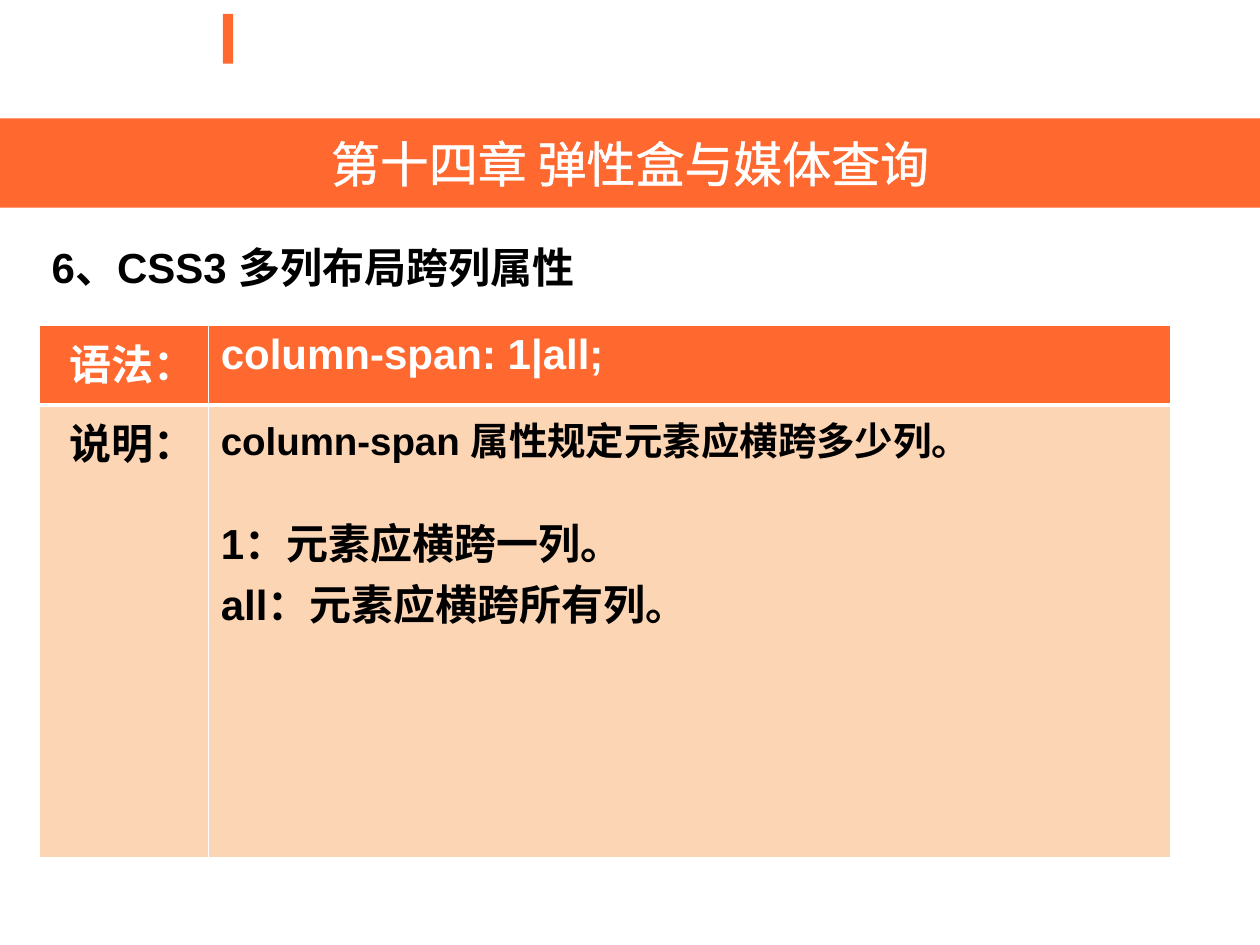
from pptx import Presentation
from pptx.util import Pt
from pptx.dml.color import RGBColor
from pptx.enum.shapes import MSO_SHAPE as Kind
from pptx.enum.text import MSO_ANCHOR as Anchor, PP_ALIGN as Align
from pptx.oxml import parse_xml

COLORS = {"accent": "FF682F", "pale": "FCD5B5", "white": "FFFFFF", "black": "000000"}
NS = 'xmlns:a="http://schemas.openxmlformats.org/drawingml/2006/main"'


def rgb(name):
    return RGBColor.from_string(COLORS[name])


def line(tag, width):
    """Make a solid white line element for text or a cell border."""
    return parse_xml(
        f'<a:{tag} {NS} w="{int(Pt(width))}"><a:solidFill>'
        f'<a:srgbClr val="{COLORS["white"]}"/></a:solidFill></a:{tag}>'
    )


def style(para, size, color, bold=True, align=Align.LEFT):
    para.alignment = align
    for run in para.runs:
        font = run.font
        font.name, font.size, font.bold = "Arial", Pt(size), bold
        font.color.rgb = rgb(color)


def add_bar(slide, x, y, w, h):
    bar = slide.shapes.add_shape(Kind.RECTANGLE, Pt(x), Pt(y), Pt(w), Pt(h))
    bar.shadow.inherit = False
    bar.fill.solid()
    bar.fill.fore_color.rgb = rgb("accent")
    bar.line.fill.background()
    return bar


def add_banner(slide, x, y, w, h, text):
    frame = add_bar(slide, x, y, w, h).text_frame
    frame.text = text
    frame.vertical_anchor = Anchor.MIDDLE
    para = frame.paragraphs[0]
    style(para, 28, "white", False, Align.CENTER)
    para.runs[0].font._element.insert(0, line("ln", 1.45))


def add_heading(slide, x, y, w, h, text):
    frame = slide.shapes.add_textbox(Pt(x), Pt(y), Pt(w), Pt(h)).text_frame
    frame.word_wrap = True
    frame.text = text
    style(frame.paragraphs[0], 24, "black")


def fill_cell(cell, text, fill, color, align, base):
    cell.text = text
    cell.fill.solid()
    cell.fill.fore_color.rgb = rgb(fill)
    for para in cell.text_frame.paragraphs:
        style(para, 24, color, align=align)
    props = cell._tc.get_or_add_tcPr()
    widths = {"lnL": 1, "lnR": 1, "lnT": 1, "lnB": base}
    for i, (tag, width) in enumerate(widths.items()):
        props.insert(i, line(tag, width))


def add_syntax(slide, x, y, w, h, rows):
    """Table with a label column and an accent first row."""
    table = slide.shapes.add_table(len(rows), 2, Pt(x), Pt(y), Pt(w), Pt(h)).table
    label, head = 96.5, 45.4
    table.columns[0].width, table.columns[1].width = Pt(label), Pt(w - label)
    table.rows[0].height, table.rows[1].height = Pt(head), Pt(h - head)
    looks = [("accent", "white", 3), ("pale", "black", 1)]
    for r, (row, (fill, color, base)) in enumerate(zip(rows, looks)):
        for c, (text, align) in enumerate(zip(row, (Align.RIGHT, Align.LEFT))):
            # The lower border of the header is also the upper one of the body
            fill_cell(table.cell(r, c), text, fill, color, align, base)
            if r:
                table.cell(r, c)._tc.tcPr[2].set("w", str(int(Pt(3))))
    lead, first = table.cell(1, 1).text_frame.paragraphs[:2]
    style(lead, 22, "black")
    first.space_before = Pt(25)


def main():
    deck = Presentation()
    deck.slide_width, deck.slide_height = Pt(720), Pt(540)
    slide = deck.slides.add_slide(deck.slide_layouts[6])
    add_bar(slide, 127.4, 8, 5.8, 28.4)
    add_banner(slide, 0, 67.6, 720, 51, "第十四章 弹性盒与媒体查询")
    add_heading(slide, 22.5, 134.6, 697.5, 376.6, "6、CSS3 多列布局跨列属性")
    add_syntax(slide, 22.5, 186, 646.5, 304, [
        ("语法：", "column-span: 1|all;"),
        ("说明：", "column-span 属性规定元素应横跨多少列。\n"
                 "1：元素应横跨一列。\nall：元素应横跨所有列。"),
    ])
    deck.save("out.pptx")


if __name__ == "__main__":
    main()
